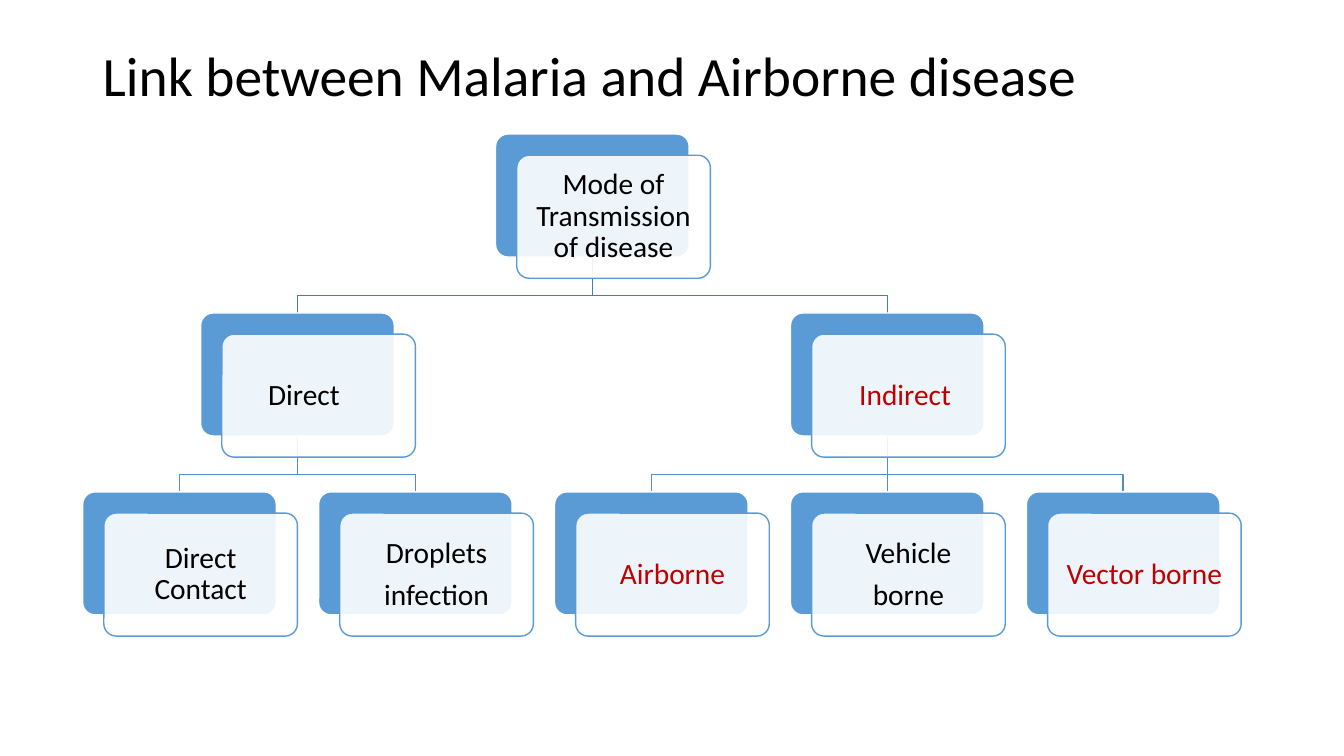
from pptx import Presentation
from pptx.dml.color import RGBColor
from pptx.enum import shapes, text
from pptx.oxml import xmlchemy
from pptx.oxml.ns import qn
from pptx.util import Inches, Pt
from lxml import etree

COLORS = {
    "blue": "5B9BD5",
    "white": "FFFFFF",
    "black": "000000",
    "red": "C00000",
    "upper_link": "497CAB",
    "lower_link": "538DC1",
}
FONT = "Calibri"
LEFT, TOP = 0.82, 1.33
COLUMN_STEP, ROW_STEP = 2.34, 1.775
CARD_WIDTH, CARD_HEIGHT = 1.92, 1.22
CARD_OFFSET = 0.21
BEND_DROP = 0.38

TREE = ("Mode of Transmission of disease", "black", [
    ("Direct \t", "black", [
        ("Direct Contact", "black", []),
        ("Droplets\ninfection", "black", []),
    ]),
    ("Indirect ", "red", [
        ("Airborne", "red", []),
        ("Vehicle\nborne", "black", []),
        ("Vector borne", "red", []),
    ]),
])


def rgb(name):
    return RGBColor.from_string(COLORS[name])


def write_text(frame, content, size, color="black", align=text.PP_ALIGN.LEFT,
               gap=0, inset_x=0.1, inset_y=0.05):
    frame.word_wrap = True
    frame.vertical_anchor = text.MSO_ANCHOR.MIDDLE
    frame.margin_left = frame.margin_right = Inches(inset_x)
    frame.margin_top = frame.margin_bottom = Inches(inset_y)
    for index, line in enumerate(content.split("\n")):
        paragraph = frame.add_paragraph() if index else frame.paragraphs[0]
        paragraph.alignment = align
        paragraph.line_spacing = 0.9
        if index:
            paragraph.space_before = Pt(gap)
        run = paragraph.add_run()
        run.text = line
        run.font.name = FONT
        run.font.size = Pt(size)
        run.font.color.rgb = rgb(color)


def add_title(slide, content):
    box = slide.shapes.add_textbox(Inches(0.92), Inches(0.4), Inches(11.5), Inches(0.75))
    write_text(box.text_frame, content, 39.6)


def add_panel(slide, left, top, fill, line, opacity=100):
    shape = slide.shapes.add_shape(
        shapes.MSO_SHAPE.ROUNDED_RECTANGLE,
        Inches(left), Inches(top), Inches(CARD_WIDTH), Inches(CARD_HEIGHT))
    shape.adjustments[0] = 0.1
    shape.shadow.inherit = False
    shape.fill.solid()
    shape.fill.fore_color.rgb = rgb(fill)
    shape.line.color.rgb = rgb(line)
    shape.line.width = Pt(1)
    if opacity < 100:
        color = shape.fill._xPr.find(qn("a:solidFill"))[0]
        etree.SubElement(color, qn("a:alpha")).set("val", str(opacity * 1000))
    return shape


def add_card(slide, left, top, label, color):
    add_panel(slide, left, top, "blue", "white")
    front = add_panel(slide, left + CARD_OFFSET, top + CARD_OFFSET, "white", "blue", 90)
    write_text(front.text_frame, label, 21, color, text.PP_ALIGN.CENTER,
               gap=7.35, inset_x=0.13, inset_y=0.13)


def add_link(slide, start_x, start_y, end_x, end_y, color):
    x1, y1, x2, y2 = (Inches(value) for value in (start_x, start_y, end_x, end_y))
    if abs(x1 - x2) < Inches(0.01):
        link = slide.shapes.add_connector(shapes.MSO_CONNECTOR.STRAIGHT, x1, y1, x1, y2)
        etree.SubElement(link._element.spPr, qn("a:effectLst"))
    else:
        bend = y1 + Inches(BEND_DROP)
        builder = slide.shapes.build_freeform(x1, y1)
        builder.add_line_segments([(x1, bend), (x2, bend), (x2, y2)], close=False)
        link = builder.convert_to_shape()
        link.fill.background()
        link.shadow.inherit = False
    link.line.color.rgb = rgb(color)
    link.line.width = Pt(1)


def place(node, level, first_column, cards, links):
    label, color, children = node
    top = TOP + level * ROW_STEP
    columns = []
    next_column = first_column
    for child in children:
        column, next_column = place(child, level + 1, next_column, cards, links)
        columns.append(column)
    if columns:
        column = (columns[0] + columns[-1]) / 2
    else:
        column, next_column = first_column, first_column + 1
    left = LEFT + column * COLUMN_STEP
    middle = left + CARD_WIDTH / 2
    link_color = "lower_link" if level else "upper_link"
    for child_column in columns:
        child_middle = LEFT + child_column * COLUMN_STEP + CARD_WIDTH / 2
        links.append((middle, top + CARD_HEIGHT, child_middle, top + ROW_STEP, link_color))
    cards.append((left, top, label, color))
    return column, next_column


def add_tree(slide, root):
    cards, links = [], []
    place(root, 0, 0, cards, links)
    for link in links:
        add_link(slide, *link)
    for card in cards:
        add_card(slide, *card)


def main():
    presentation = Presentation()
    presentation.slide_width = Inches(13.33)
    presentation.slide_height = Inches(7.5)
    slide = presentation.slides.add_slide(presentation.slide_layouts[6])
    add_tree(slide, TREE)
    add_title(slide, "Link between Malaria and Airborne disease")
    presentation.save("out.pptx")


if __name__ == "__main__":
    main()
